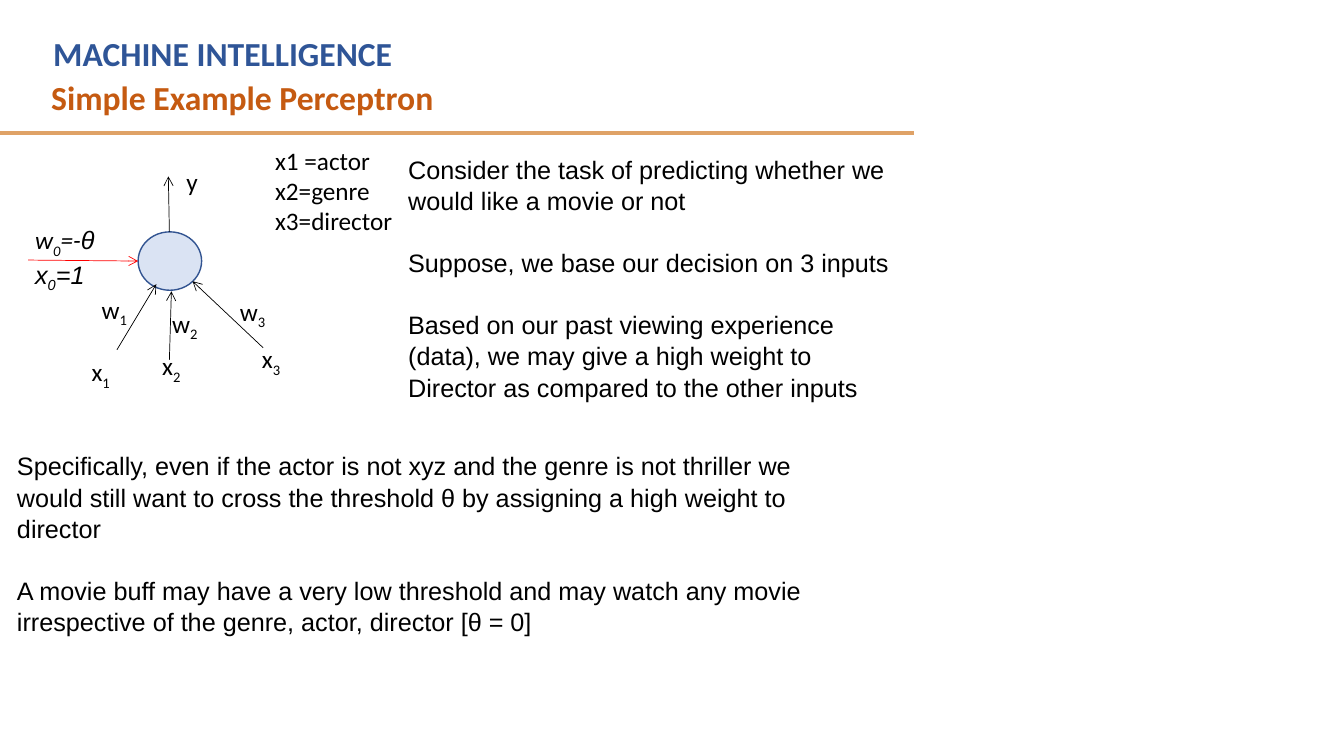
"""Build the perceptron example slide."""
from dataclasses import dataclass

from lxml.etree import SubElement
from pptx import Presentation
from pptx.dml.color import RGBColor
from pptx.enum.shapes import MSO_CONNECTOR, MSO_SHAPE
from pptx.enum.text import MSO_AUTO_SIZE
from pptx.oxml.ns import qn
from pptx.slide import Slide
from pptx.util import Inches, Pt

BLACK = RGBColor(0x00, 0x00, 0x00)
RED = RGBColor(0xFF, 0x00, 0x00)
TITLE_BLUE = RGBColor(0x2F, 0x55, 0x97)
TITLE_ORANGE = RGBColor(0xC5, 0x5A, 0x11)
RULE_GOLD = RGBColor(0xDF, 0xA2, 0x67)
NEURON_FILL = RGBColor(0xDA, 0xE3, 0xF3)
NEURON_LINE = RGBColor(0x32, 0x54, 0x91)


@dataclass(frozen=True)
class Piece:
    text: str
    font: str = "Calibri"
    subscript: bool = False


@dataclass(frozen=True)
class TextBlock:
    left: float
    top: float
    width: float
    height: float
    paragraphs: list[list[Piece]]
    size: int = 18
    color: RGBColor = BLACK
    bold: bool = False
    italic: bool = False
    wrap: bool = False
    gap: float = 0
    spacing: float = 1.0


@dataclass(frozen=True)
class Segment:
    start: tuple[float, float]
    end: tuple[float, float]
    color: RGBColor = BLACK
    weight: float = 0.5
    arrow: bool = True


def plain(*lines: str, font: str = "Calibri") -> list[list[Piece]]:
    """Return one single-piece paragraph per line."""
    return [[Piece(line, font)] for line in lines]


def variable(left: float, top: float, letter: str, index: str) -> TextBlock:
    """Return a label made of a letter and its subscript."""
    width = 0.46 if letter == "w" else 0.39
    return TextBlock(left, top, width, 0.4, [[Piece(letter), Piece(index, subscript=True)]])


HEADINGS = [
    TextBlock(0.41, 0.71, 8.75, 0.5, plain("Simple Example Perceptron"),
              size=24, color=TITLE_ORANGE, bold=True, wrap=True),
    TextBlock(0.43, 0.28, 8.2, 0.5, plain("MACHINE INTELLIGENCE"),
              size=24, color=TITLE_BLUE, bold=True, wrap=True),
]

EXPLANATIONS = [
    TextBlock(2.63, 1.39, 1.36, 1.01, plain("x1 =actor", "x2=genre", "x3=director")),
    TextBlock(3.95, 1.47, 5.01, 2.83, plain(
        "Consider the task of predicting whether we would like a movie or not",
        "Suppose, we base our decision on 3 inputs",
        "Based on our past viewing experience (data), we may give a high weight to "
        "Director as compared to the other inputs",
        font="Arial"), wrap=True, gap=21.6, spacing=1.04),
    TextBlock(0.07, 4.41, 8.38, 2.22, plain(
        "Specifically, even if the actor is not xyz and the genre is not thriller we "
        "would still want to cross the threshold θ by assigning a high weight to director",
        "A movie buff may have a very low threshold and may watch any movie "
        "irrespective of the genre, actor, director [θ = 0]",
        font="Arial"), wrap=True, gap=21.6, spacing=1.04),
]

LABELS = [
    TextBlock(1.75, 1.6, 0.31, 0.4, plain("y")),
    TextBlock(0.25, 2.18, 0.8, 0.71, [
        [Piece("w"), Piece("0", subscript=True), Piece("=-"), Piece("θ", "Arial")],
        [Piece("x", "Arial"), Piece("0", "Arial", True), Piece("=1", "Arial")],
    ], italic=True),
    variable(0.81, 3.49, "x", "1"),
    variable(2.5, 3.36, "x", "3"),
    variable(0.91, 2.87, "w", "1"),
    variable(2.28, 2.89, "w", "3"),
    variable(1.51, 3.43, "x", "2"),
    variable(1.61, 3.01, "w", "2"),
]

TITLE_RULE = Segment((-0.01, 1.32), (9.07, 1.32), RULE_GOLD, 3, arrow=False)

ARROWS = [
    Segment((2.61, 3.45), (1.91, 2.79)),
    Segment((1.68, 3.57), (1.7, 2.89)),
    Segment((1.16, 3.47), (1.55, 2.82)),
    Segment((0.28, 2.58), (1.37, 2.59), RED),
    Segment((1.68, 2.3), (1.67, 1.75)),
]


def add_text(slide: Slide, block: TextBlock) -> None:
    """Add a text box with formatted pieces."""
    shape = slide.shapes.add_textbox(
        Inches(block.left), Inches(block.top), Inches(block.width), Inches(block.height))
    frame = shape.text_frame
    frame.word_wrap = block.wrap
    frame.auto_size = MSO_AUTO_SIZE.SHAPE_TO_FIT_TEXT
    for number, pieces in enumerate(block.paragraphs):
        paragraph = frame.add_paragraph() if number else frame.paragraphs[0]
        paragraph.line_spacing = block.spacing
        if number:
            paragraph.space_before = Pt(block.gap)
        for piece in pieces:
            run = paragraph.add_run()
            run.text = piece.text
            run.font.name = piece.font
            run.font.size = Pt(block.size)
            run.font.bold = block.bold
            run.font.italic = block.italic
            run.font.color.rgb = block.color
            if piece.subscript:
                run._r.get_or_add_rPr().set("baseline", "-25000")


def add_segment(slide: Slide, segment: Segment) -> None:
    """Add a straight line, with an arrowhead at its end if asked."""
    points = [Inches(value) for value in (*segment.start, *segment.end)]
    connector = slide.shapes.add_connector(MSO_CONNECTOR.STRAIGHT, *points)
    connector.line.color.rgb = segment.color
    connector.line.width = Pt(segment.weight)
    properties = connector._element.spPr
    if segment.arrow:
        SubElement(properties.find(qn("a:ln")), qn("a:tailEnd"), type="arrow")
    SubElement(properties, qn("a:effectLst"))


def add_neuron(slide: Slide) -> None:
    """Add the circle of the perceptron."""
    neuron = slide.shapes.add_shape(
        MSO_SHAPE.OVAL, Inches(1.37), Inches(2.3), Inches(0.63), Inches(0.58))
    neuron.shadow.inherit = False
    neuron.fill.solid()
    neuron.fill.fore_color.rgb = NEURON_FILL
    neuron.line.color.rgb = NEURON_LINE
    neuron.line.width = Pt(1)


def main() -> None:
    """Create and save the presentation."""
    presentation = Presentation()
    presentation.slide_width = Inches(13.33)
    presentation.slide_height = Inches(7.5)
    slide = presentation.slides.add_slide(presentation.slide_layouts[6])
    add_segment(slide, TITLE_RULE)
    for block in HEADINGS + EXPLANATIONS:
        add_text(slide, block)
    add_neuron(slide)
    for arrow in ARROWS:
        add_segment(slide, arrow)
    for label in LABELS:
        add_text(slide, label)
    presentation.save("out.pptx")


if __name__ == "__main__":
    main()
